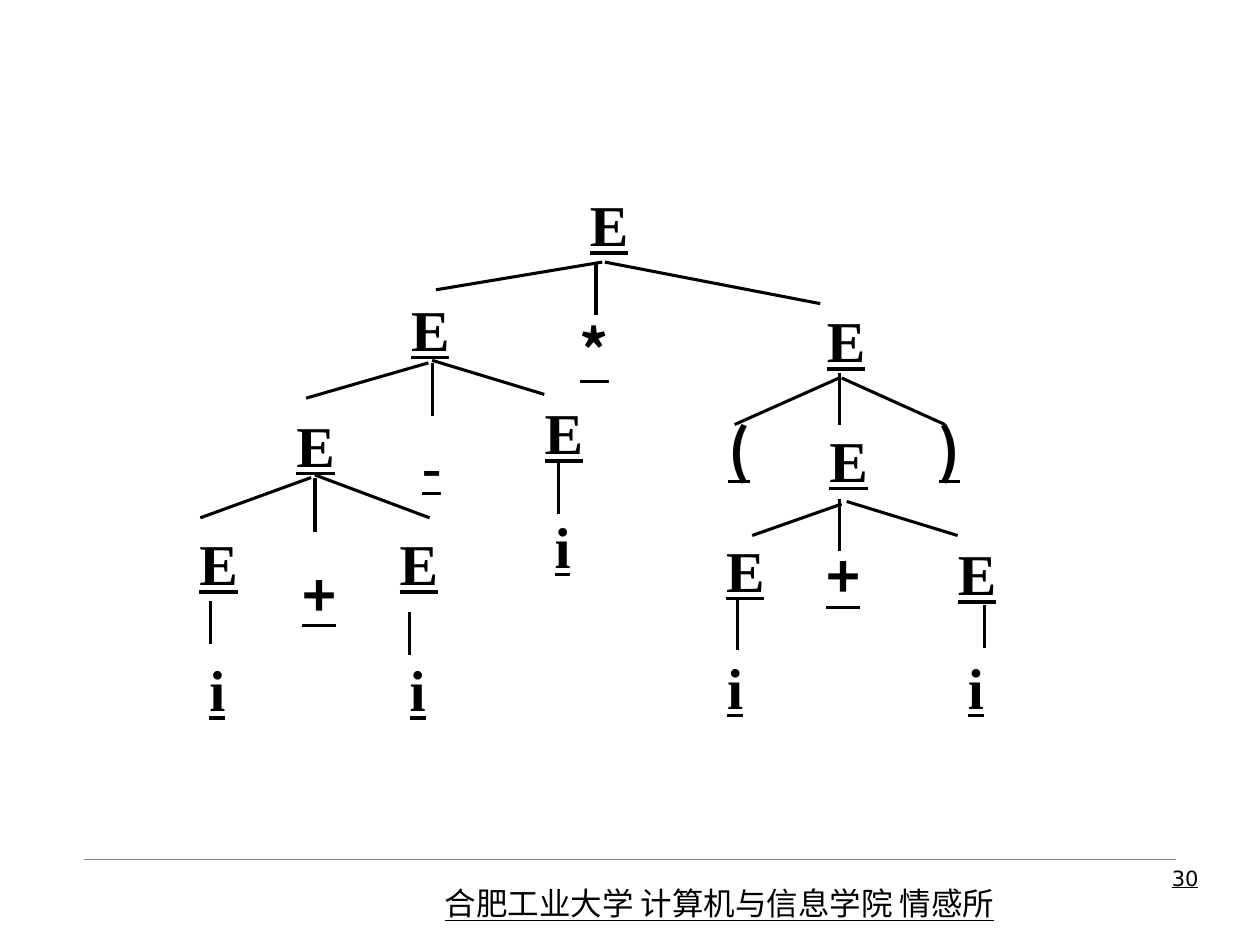
from lxml.etree import SubElement
from pptx import Presentation
from pptx.dml.color import RGBColor
from pptx.enum.shapes import MSO_CONNECTOR
from pptx.enum.text import PP_ALIGN
from pptx.oxml.ns import qn
from pptx.util import Inches, Pt

COLORS = {"ink": "000000", "rule": "808080"}
SERIF, CJK, SANS = "Times New Roman", "Noto Sans CJK SC", "DejaVu Sans"

# symbol: (box width, font)
SYMBOLS = {
    "E": (0.31, SERIF), "i": (0.13, SERIF), "-": (0.15, SERIF),
    "+": (0.26, CJK), "*": (0.25, CJK), "(": (0.16, CJK), ")": (0.16, CJK),
}
NODE_HEIGHT = 0.55

# symbol, left, top; level by level
NODES = [
    ("E", 4.68, 1.5),
    ("E", 3.26, 2.33), ("*", 4.59, 2.5), ("E", 6.56, 2.42),
    ("E", 2.35, 3.25), ("-", 3.35, 3.41), ("E", 4.32, 3.15),
    ("(", 5.78, 3.29), ("E", 6.58, 3.37), (")", 7.45, 3.29),
    ("E", 1.58, 4.19), ("+", 2.4, 4.44), ("E", 3.17, 4.19), ("i", 4.4, 4.05),
    ("E", 5.76, 4.24), ("+", 6.56, 4.29), ("E", 7.6, 4.27),
    ("i", 1.66, 5.19), ("i", 3.25, 5.19), ("i", 5.77, 5.17), ("i", 7.68, 5.17),
]

# sloping branches: start, end
SLOPES = [
    ((4.78, 2.08), (3.46, 2.3)), ((4.8, 2.08), (6.51, 2.41)),
    ((3.4, 2.88), (2.43, 3.16)), ((3.43, 2.86), (4.32, 3.13)),
    ((6.66, 3), (5.83, 3.37)), ((6.68, 3), (7.5, 3.37)),
    ((2.47, 3.79), (1.59, 4.11)), ((2.5, 3.77), (3.41, 4.11)),
    ((6.68, 4), (5.97, 4.25)), ((6.72, 3.98), (7.6, 4.25)),
]

# upright branches: x, top, bottom
STEMS = [
    (4.73, 2.08, 2.5), (3.43, 2.88, 3.3), (6.66, 2.96, 3.37),
    (2.5, 3.79, 4.22), (4.43, 3.66, 4.08), (6.66, 3.96, 4.37),
    (1.67, 4.77, 5.11), (3.25, 4.86, 5.2), (5.85, 4.75, 5.16), (7.81, 4.8, 5.14),
]


def add_text(shapes, text, left, top, width, height, *, font, size, bold=False,
             align=PP_ALIGN.LEFT, wrap=True, margins=(0.1, 0.05)):
    box = shapes.add_textbox(Inches(left), Inches(top), Inches(width), Inches(height))
    frame = box.text_frame
    frame.word_wrap = wrap
    frame.margin_left = frame.margin_right = Inches(margins[0])
    frame.margin_top = frame.margin_bottom = Inches(margins[1])
    para = frame.paragraphs[0]
    para.alignment = align
    span = para.add_run()
    span.text = text
    span.font.name = font
    span.font.size = Pt(size)
    span.font.bold = bold
    span.font.underline = True
    span.font.color.rgb = RGBColor.from_string(COLORS["ink"])
    SubElement(span.font._element, qn("a:ea")).set("typeface", font)


def add_line(shapes, start, end, color="ink", weight=1.75):
    line = shapes.add_connector(MSO_CONNECTOR.STRAIGHT, *map(Inches, start + end))
    line.line.color.rgb = RGBColor.from_string(COLORS[color])
    line.line.width = Pt(weight)
    SubElement(line._element.spPr, qn("a:effectLst"))


def main():
    deck = Presentation()
    deck.slide_width, deck.slide_height = Inches(10), Inches(7.5)
    page = deck.slides.add_slide(deck.slide_layouts[6])

    add_line(page.shapes, (0.67, 6.82), (9.33, 6.82), color="rule", weight=0.25)
    add_text(page.shapes, "合肥工业大学 计算机与信息学院 情感所", 3.43, 6.97, 4.8, 0.4,
             font=CJK, size=18)

    tree = page.shapes.add_group_shape().shapes
    for start, end in SLOPES:
        add_line(tree, start, end)
    for x, top, bottom in STEMS:
        add_line(tree, (x, top), (x, bottom))
    for symbol, left, top in NODES:
        width, font = SYMBOLS[symbol]
        add_text(tree, symbol, left, top, width, NODE_HEIGHT, font=font, size=33,
                 bold=True, align=PP_ALIGN.CENTER, wrap=False, margins=(0, 0))

    add_text(page.shapes, "30", 7.44, 6.82, 2.17, 0.52, font=SANS, size=12,
             align=PP_ALIGN.RIGHT)
    deck.save("out.pptx")


if __name__ == "__main__":
    main()
